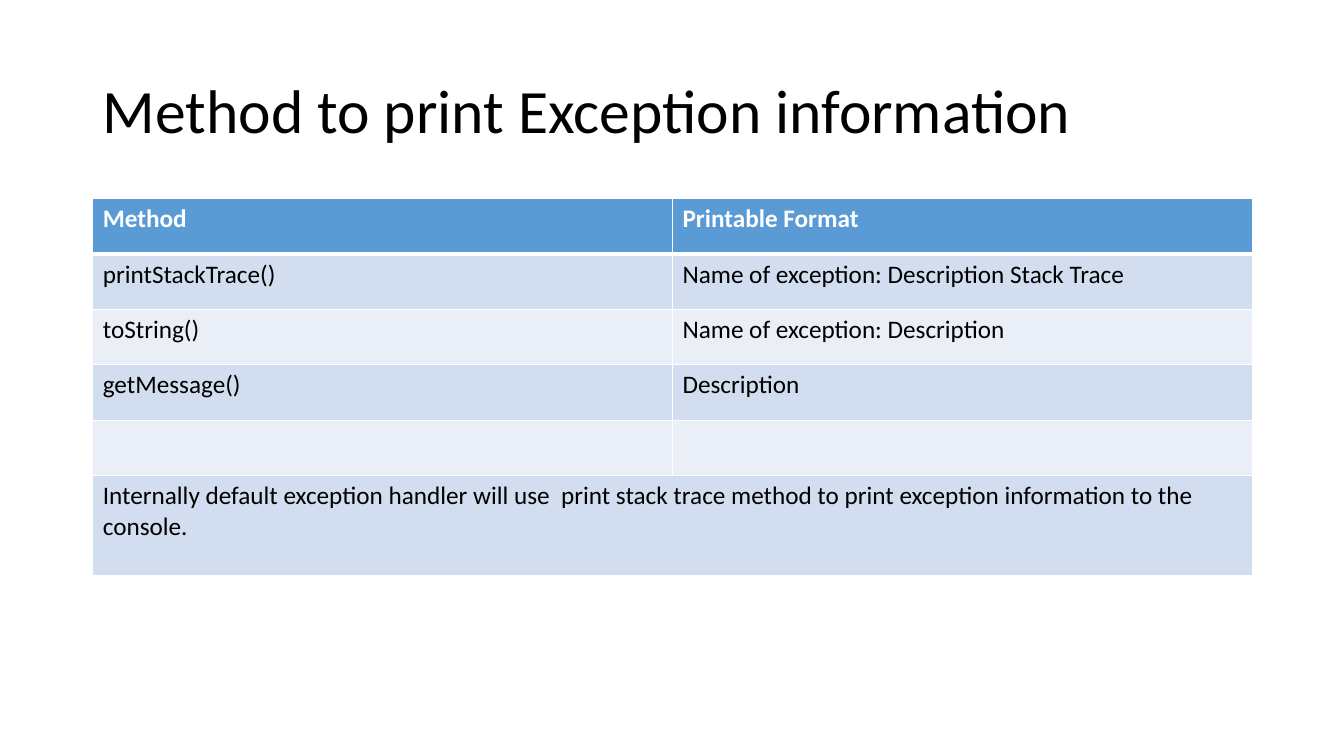
from lxml import etree
from pptx import Presentation
from pptx.dml.color import RGBColor
from pptx.enum import text
from pptx.oxml import ns
from pptx.util import Inches, Pt

TITLE = "Method to print Exception information"
ROWS = [
    ("Method", "Printable Format"),
    ("printStackTrace()", "Name of exception: Description Stack Trace"),
    ("toString()", "Name of exception: Description"),
    ("getMessage()", "Description"),
    ("", ""),
    ("Internally default exception handler will use  print stack trace "
     "method to print exception information to the console.", ""),
]
FONT = "Calibri"
WHITE = RGBColor(0xFF, 0xFF, 0xFF)
BLACK = RGBColor(0, 0, 0)
HEAD = RGBColor(0x5B, 0x9B, 0xD5)
BANDS = RGBColor(0xEA, 0xEF, 0xF7), RGBColor(0xD2, 0xDE, 0xEF)

LEFT, WIDE = 0.92, 11.5
TITLE_TOP, TITLE_HIGH = 0.4, 1.45
GRID_TOP, ROW, NOTE_ROW = 1.97, 0.55, 0.99


def style(para, size, color, bold=False):
    for run in para.runs:
        font = run.font
        font.name, font.size, font.bold = FONT, Pt(size), bold
        font.color.rgb = color


def edge(cell, side, width):
    """Draw one white cell border; call before the cell is filled."""
    props = cell._tc.get_or_add_tcPr()
    line = etree.SubElement(props, ns.qn("a:ln" + side), w=str(Pt(width)))
    fill = etree.SubElement(line, ns.qn("a:solidFill"))
    etree.SubElement(fill, ns.qn("a:srgbClr"), val=str(WHITE))


def add_title(slide):
    title = slide.shapes.title
    title.left, title.top = Inches(LEFT), Inches(TITLE_TOP)
    title.width, title.height = Inches(WIDE), Inches(TITLE_HIGH)
    frame = title.text_frame
    frame.text = TITLE
    frame.word_wrap = True
    frame.vertical_anchor = text.MSO_ANCHOR.MIDDLE
    para = frame.paragraphs[0]
    para.alignment = text.PP_ALIGN.LEFT
    para.line_spacing = 0.9
    style(para, 44, BLACK)


def add_grid(slide):
    count, cols = len(ROWS), len(ROWS[0])
    high = ROW * (count - 1) + NOTE_ROW
    grid = slide.shapes.add_table(
        count, cols, Inches(LEFT), Inches(GRID_TOP),
        Inches(WIDE), Inches(high)).table
    for r, words in enumerate(ROWS):
        last = r == count - 1
        grid.rows[r].height = Inches(NOTE_ROW if last else ROW)
        for c, word in enumerate(words):
            cell = grid.cell(r, c)
            for side in "LRTB":
                thick = (r, side) in ((0, "B"), (1, "T"))
                edge(cell, side, 3 if thick else 1)
            cell.fill.solid()
            cell.fill.fore_color.rgb = BANDS[r % 2] if r else HEAD
            cell.text_frame.text = word
            para = cell.text_frame.paragraphs[0]
            para.font.size = Pt(18)
            style(para, 18, BLACK if r else WHITE, bold=r == 0)
    grid.cell(count - 1, 0).merge(grid.cell(count - 1, cols - 1))


def main():
    deck = Presentation()
    deck.slide_width, deck.slide_height = Inches(13.33), Inches(7.5)
    slide = deck.slides.add_slide(deck.slide_layouts[5])
    add_title(slide)
    add_grid(slide)
    deck.save("out.pptx")


if __name__ == "__main__":
    main()
